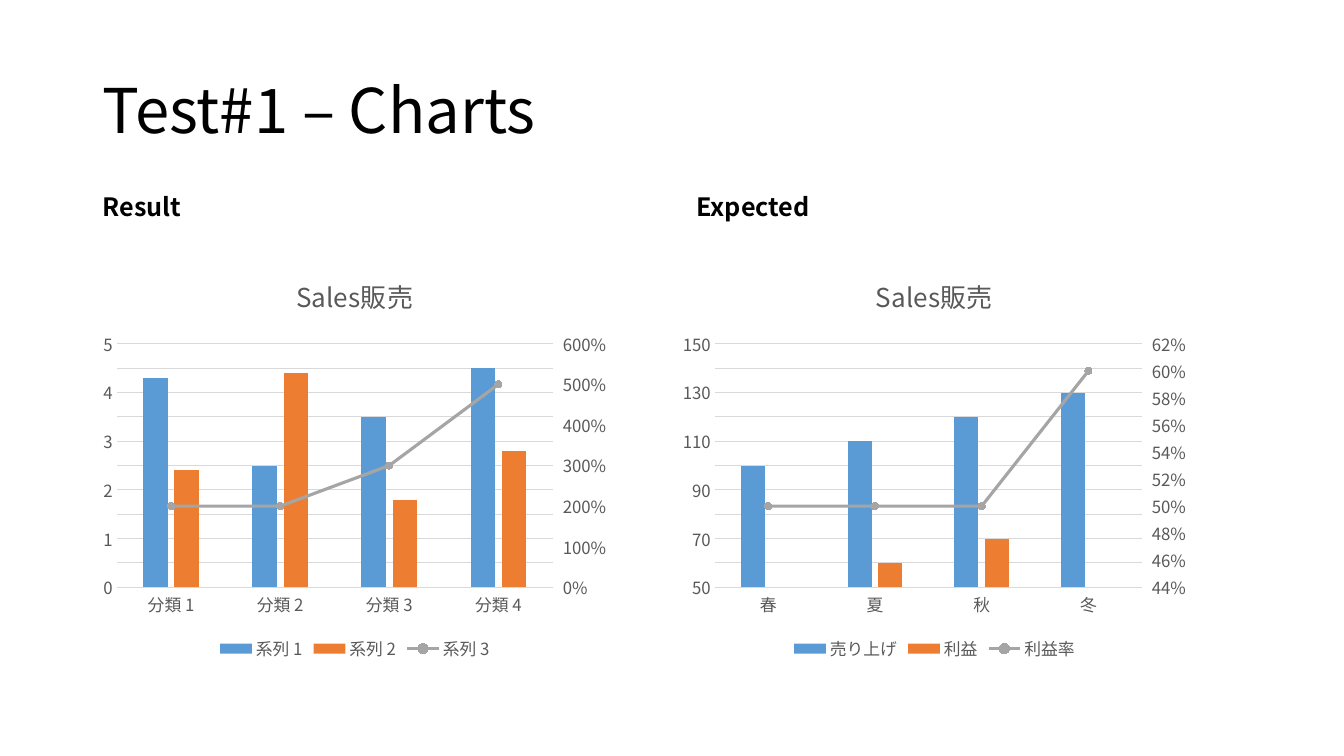
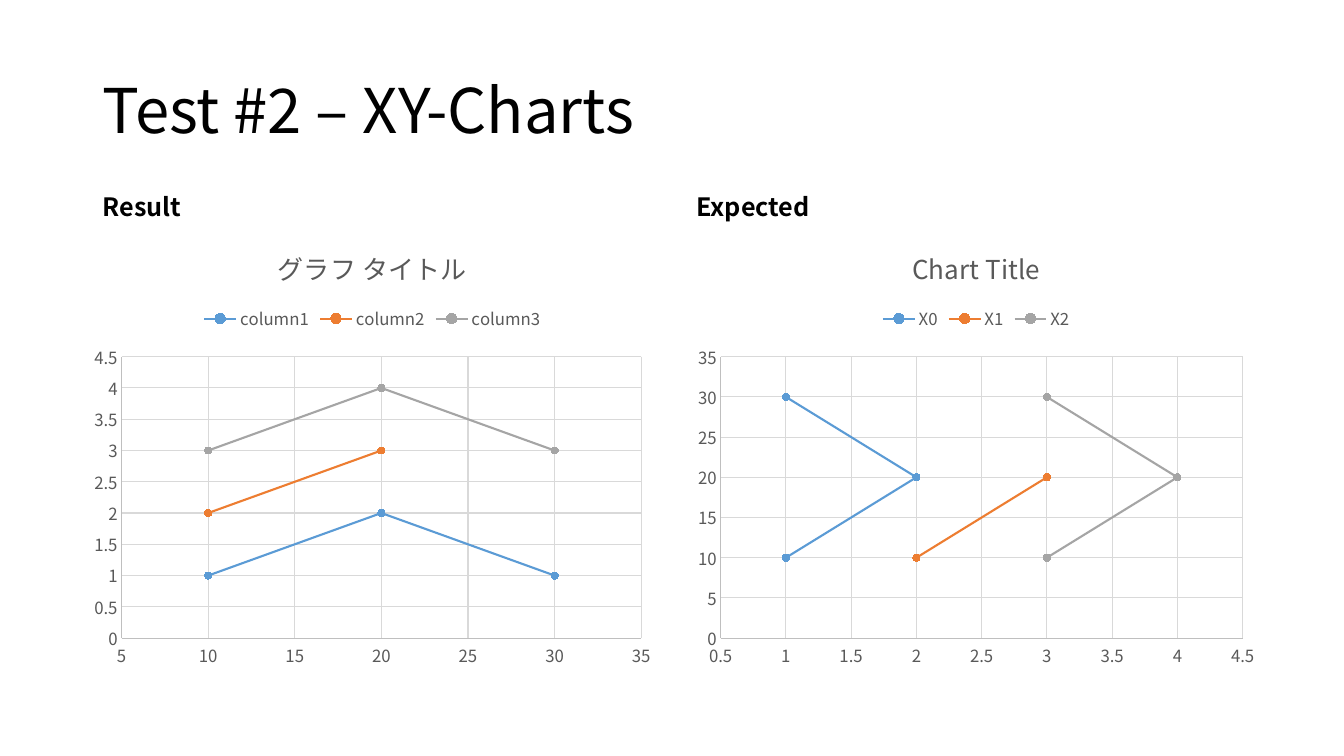
from dataclasses import dataclass

from pptx import Presentation
from pptx.chart.axis import ValueAxis
from pptx.chart.data import CategoryChartData, XyChartData
from pptx.dml.color import RGBColor as RGB
from pptx.enum.chart import (XL_CHART_TYPE as Kind, XL_LEGEND_POSITION as LegendAt,
                             XL_MARKER_STYLE as MarkerStyle, XL_TICK_MARK as Tick)
from pptx.enum.text import MSO_ANCHOR as Anchor, MSO_AUTO_SIZE as AutoSize, PP_ALIGN as Align
from pptx.oxml import parse_xml
from pptx.oxml.ns import nsdecls, qn
from pptx.util import Pt

SALES = [
    dict(title="Sales販売", left=66.24, scale=None,
         categories=["分類 1", "分類 2", "分類 3", "分類 4"],
         bars=[("系列 1", [4.3, 2.5, 3.5, 4.5]), ("系列 2", [2.4, 4.4, 1.8, 2.8])],
         rate=("系列 3", [2, 2, 3, 5])),
    dict(title="Sales販売", left=480.24, scale=(50, 150),
         categories=["春", "夏", "秋", "冬"],
         bars=[("売り上げ", [100, 110, 120, 130]), ("利益", [50, 60, 70, None])],
         rate=("利益率", [0.5, 0.5, 0.5, 0.6])),
]
XY = [
    dict(title="グラフ タイトル", left=59.04,
         curves=[("column1", [(10, 1), (20, 2), (30, 1)]),
                 ("column2", [(10, 2), (20, 3)]),
                 ("column3", [(10, 3), (20, 4), (30, 3)])]),
    dict(title="Chart Title", left=490.32,
         curves=[("X0", [(1, 10), (2, 20), (1, 30)]),
                 ("X1", [(2, 10), (3, 20)]),
                 ("X2", [(3, 10), (4, 20), (3, 30)])]),
]
HEADINGS = [("Result", 66.24, 71.28), ("Expected", 490.32, 96.48)]


@dataclass(frozen=True)
class Theme:
    """Colours, font and type sizes shared by both slides."""
    font: str = "Noto Sans CJK JP"
    ink: str = "000000"
    muted: str = "595959"
    grid: str = "D9D9D9"
    axis: str = "BFBFBF"
    series: tuple = ("5B9BD5", "ED7D31", "A5A5A5")
    title: float = 44
    heading: float = 18
    chart_title: float = 18.6
    label: float = 12
    base: float = 10
    hairline: float = 0.75


THEME = Theme()
SECONDARY_AXES = ("50010", "50020")


def style_font(font, size, color, bold=False):
    """Apply the shared typeface with a size and colour."""
    font.name, font.size, font.bold = THEME.font, Pt(size), bold
    font.color.rgb = RGB.from_string(color)


def style_line(line, color, width):
    """Give a line a solid colour and a width."""
    line.color.rgb = RGB.from_string(color)
    line.width = Pt(width)


def add_run(paragraph, text, size, color, bold=False):
    """Append one styled run."""
    run = paragraph.add_run()
    run.text = text
    style_font(run.font, size, color, bold)


def start_slide(deck, title):
    """Add a slide with its title and the two column headings."""
    slide = deck.slides.add_slide(deck.slide_layouts[5])
    heading = slide.shapes.title
    heading.left, heading.top, heading.width, heading.height = map(Pt, (66.24, 28.8, 828, 104.4))
    frame = heading.text_frame
    frame.vertical_anchor, frame.auto_size = Anchor.MIDDLE, AutoSize.NONE
    paragraph = frame.paragraphs[0]
    paragraph.alignment, paragraph.line_spacing = Align.LEFT, 0.9
    add_run(paragraph, title, THEME.title, THEME.ink)
    for text, left, width in HEADINGS:
        label = slide.shapes.add_textbox(Pt(left), Pt(133.2), Pt(width), Pt(29)).text_frame
        label.word_wrap, label.auto_size = False, AutoSize.SHAPE_TO_FIT_TEXT
        add_run(label.paragraphs[0], text, THEME.heading, THEME.ink, bold=True)
    return slide


def style_axis(axis, line=None, grid=False, tick=Tick.NONE):
    """Set an axis's labels, line, ticks and gridlines."""
    axis.major_tick_mark, axis.minor_tick_mark = tick, Tick.NONE
    style_font(axis.tick_labels.font, THEME.label, THEME.muted)
    if line:
        style_line(axis.format.line, line, THEME.hairline)
    else:
        axis.format.line.fill.background()
    axis.has_major_gridlines = grid
    if grid:
        style_line(axis.major_gridlines.format.line, THEME.grid, THEME.hairline)


def style_curve(curve, color, width):
    """Draw a series as a straight line with round markers."""
    curve.smooth = False
    style_line(curve.format.line, color, width)
    marker = curve.marker
    marker.style, marker.size = MarkerStyle.CIRCLE, 5
    marker.format.fill.solid()
    marker.format.fill.fore_color.rgb = RGB.from_string(color)
    style_line(marker.format.line, color, THEME.hairline)


def place_chart(slide, kind, data, box, title, legend_at):
    """Add a chart with its base font, title and legend."""
    chart = slide.shapes.add_chart(kind, *map(Pt, box), data).chart
    style_font(chart.font, THEME.base, THEME.ink)
    chart.has_title = True
    add_run(chart.chart_title.text_frame.paragraphs[0], title, THEME.chart_title, THEME.muted)
    chart.has_legend = True
    chart.legend.position, chart.legend.include_in_layout = legend_at, False
    style_font(chart.legend.font, THEME.label, THEME.muted)
    return chart


def set_east_asian_font(chart):
    """Use the shared typeface for Japanese chart text as well."""
    for latin in list(chart.element.iter(qn("a:latin"))):
        latin.addnext(parse_xml(f'<a:ea {nsdecls("a")} typeface="{THEME.font}"/>'))


def move_rate_to_right_axis(chart):
    """Turn the last bar series into a line on a second axis, and return that axis."""
    bars = next(chart.element.iter(qn("c:barChart")))
    rate = bars.findall(qn("c:ser"))[-1]
    for bar_only in rate.findall(qn("c:invertIfNegative")):
        rate.remove(bar_only)
    cat_id, val_id = SECONDARY_AXES
    curve = parse_xml(
        f'<c:lineChart {nsdecls("c")}><c:grouping val="standard"/><c:varyColors val="0"/>'
        f'<c:marker val="1"/><c:axId val="{cat_id}"/><c:axId val="{val_id}"/></c:lineChart>')
    curve.insert(2, rate)
    bars.addnext(curve)

    def axis_xml(tag, own, other, hidden, side, extra, tail):
        """Build one of the paired secondary axes."""
        return parse_xml(
            f'<c:{tag} {nsdecls("c")}><c:axId val="{own}"/>'
            f'<c:scaling><c:orientation val="minMax"/></c:scaling><c:delete val="{hidden}"/>'
            f'<c:axPos val="{side}"/>{extra}<c:majorTickMark val="out"/>'
            f'<c:minorTickMark val="none"/><c:tickLblPos val="nextTo"/>'
            f'<c:crossAx val="{other}"/>{tail}</c:{tag}>')

    right = axis_xml("valAx", val_id, cat_id, 0, "r",
                     '<c:numFmt formatCode="0%" sourceLinked="0"/>',
                     '<c:crosses val="max"/><c:crossBetween val="between"/>')
    hidden = axis_xml("catAx", cat_id, val_id, 1, "b", "", '<c:crosses val="autoZero"/>')
    primary = next(chart.element.iter(qn("c:valAx")))
    primary.addnext(right)
    right.addnext(hidden)
    return ValueAxis(right)


def add_sales_chart(slide, sales):
    """Add clustered bars with a rate line on the right axis."""
    data = CategoryChartData()
    data.categories = sales["categories"]
    for name, values in sales["bars"]:
        data.add_series(name, values)
    data.add_series(*sales["rate"], number_format="0%")
    chart = place_chart(slide, Kind.COLUMN_CLUSTERED, data,
                        (sales["left"], 182.88, 374.4, 292.32), sales["title"], LegendAt.BOTTOM)
    style_axis(chart.category_axis, line=THEME.grid)
    style_axis(chart.value_axis, grid=True)
    if sales["scale"]:
        chart.value_axis.minimum_scale, chart.value_axis.maximum_scale = sales["scale"]
    style_axis(move_rate_to_right_axis(chart), tick=Tick.OUTSIDE)
    bar_plot, rate_plot = chart.plots
    bar_plot.gap_width, bar_plot.overlap, bar_plot.vary_by_categories = 219, -27, False
    for bar, color in zip(bar_plot.series, THEME.series):
        bar.format.fill.solid()
        bar.format.fill.fore_color.rgb = RGB.from_string(color)
    style_curve(rate_plot.series[0], THEME.series[-1], 2.25)
    set_east_asian_font(chart)


def add_xy_chart(slide, xy):
    """Add a scatter chart with straight lines."""
    data = XyChartData()
    for name, points in xy["curves"]:
        curve = data.add_series(name)
        for x, y in points:
            curve.add_data_point(x, y)
    chart = place_chart(slide, Kind.XY_SCATTER_LINES, data,
                        (xy["left"], 162, 414, 321.12), xy["title"], LegendAt.TOP)
    for axis in (chart.category_axis, chart.value_axis):
        style_axis(axis, line=THEME.axis, grid=True)
    chart.plots[0].vary_by_categories = False
    for curve, color in zip(chart.plots[0].series, THEME.series):
        style_curve(curve, color, 1.5)
    set_east_asian_font(chart)


deck = Presentation()
deck.slide_width, deck.slide_height = Pt(960), Pt(540)
for title, add_chart_to, charts in (("Test#1 – Charts", add_sales_chart, SALES),
                                    ("Test #2 – XY-Charts", add_xy_chart, XY)):
    slide = start_slide(deck, title)
    for content in charts:
        add_chart_to(slide, content)
deck.save("out.pptx")
